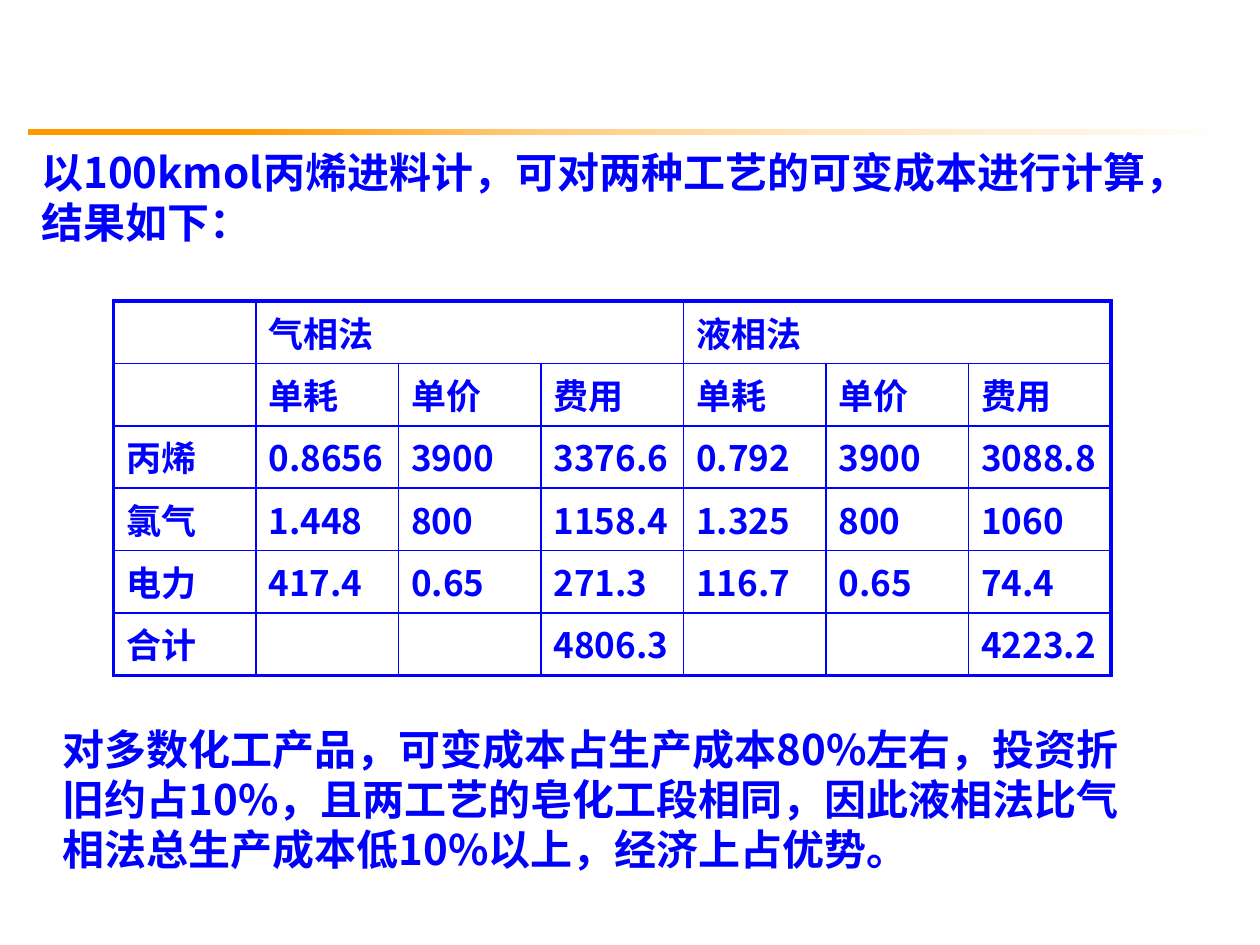
from lxml import etree
from pptx import Presentation
from pptx.dml.color import RGBColor
from pptx.enum.shapes import MSO_SHAPE
from pptx.enum.text import MSO_ANCHOR
from pptx.oxml.ns import qn
from pptx.util import Inches, Pt

RECT = MSO_SHAPE.RECTANGLE
BOTTOM = MSO_ANCHOR.BOTTOM
FONT = "Noto Sans CJK SC"
BLUE = RGBColor(0x00, 0x00, 0xFF)
FADE = [
    (17, RGBColor(0xFF, 0x99, 0x00)),
    (43, RGBColor(0xFF, 0xCC, 0x80)),
    (67, RGBColor(0xFF, 0xE6, 0xC0)),
    (87, RGBColor(0xFF, 0xF3, 0xE0)),
    (100, RGBColor(0xFF, 0xFF, 0xFF)),
]
THIN, THICK = Pt(1), Pt(2.25)

INTRO = "以100kmol丙烯进料计，可对两种工艺的可变成本进行计算，结果如下："
CLOSE = (
    "对多数化工产品，可变成本占生产成本80%左右，投资折旧约占10%，"
    "且两工艺的皂化工段相同，因此液相法比气相法总生产成本低10%以上，经济上占优势。"
)
HEADS = ["单耗", "单价", "费用"]
COSTS = [
    ["", "气相法", "", "", "液相法", "", ""],
    ["", *HEADS, *HEADS],
    ["丙烯", "0.8656", "3900", "3376.6", "0.792", "3900", "3088.8"],
    ["氯气", "1.448", "800", "1158.4", "1.325", "800", "1060"],
    ["电力", "417.4", "0.65", "271.3", "116.7", "0.65", "74.4"],
    ["合计", "", "", "4806.3", "", "", "4223.2"],
]


def put_text(frame, text, size=24, color=BLUE, bold=True):
    frame.word_wrap = True
    para = frame.paragraphs[0]
    para.line_spacing = Pt(size * 1.2)
    run = para.add_run()
    run.text = text
    font = run.font
    font.name, font.size, font.bold = FONT, Pt(size), bold
    font.color.rgb = color
    east = etree.SubElement(font._element, qn("a:ea"))
    east.set("typeface", FONT)


def add_fill(parent, color):
    etree.SubElement(parent, qn("a:srgbClr")).set("val", str(color))


def add_rule(slide, left, top, width, height):
    bar = slide.shapes.add_shape(RECT, left, top, width, height)
    bar.shadow.inherit = False
    bar.line.fill.background()
    bar.fill.gradient()
    bar.fill.gradient_angle = 0
    stops = bar._element.spPr.find(".//" + qn("a:gsLst"))
    for old in list(stops):
        stops.remove(old)
    for place, color in FADE:
        stop = etree.SubElement(stops, qn("a:gs"))
        stop.set("pos", str(place * 1000))
        add_fill(stop, color)


def add_note(slide, text, left, top, width, height):
    box = slide.shapes.add_textbox(left, top, width, height)
    put_text(box.text_frame, text)


def set_edges(cell, edges):
    props = cell._tc.get_or_add_tcPr()
    for side, width in edges.items():
        line = etree.SubElement(props, qn("a:ln" + side))
        line.set("w", str(int(width)))
        add_fill(etree.SubElement(line, qn("a:solidFill")), BLUE)


def add_costs(slide, left, top, width, height):
    rows, cols = len(COSTS), len(COSTS[0])
    table = slide.shapes.add_table(rows, cols, left, top, width, height).table
    table.first_row = table.horz_banding = False
    for r, row in enumerate(COSTS):
        for c, text in enumerate(row):
            cell = table.cell(r, c)
            set_edges(cell, {
                "L": THICK if c == 0 else THIN,
                "R": THICK if c == cols - 1 else THIN,
                "T": THICK if r == 0 else THIN,
                "B": THICK if r == rows - 1 else THIN,
            })
            cell.fill.background()
            cell.vertical_anchor = BOTTOM
            if text:
                put_text(cell.text_frame, text, size=20)
    for c in (1, 4):
        table.cell(0, c).merge(table.cell(0, c + 2))
    set_end = table.cell(0, 4)._tc.tcPr.find(qn("a:lnR"))
    set_end.set("w", str(int(THICK)))


def main():
    deck = Presentation()
    deck.slide_width, deck.slide_height = Inches(10), Inches(7.5)
    slide = deck.slides.add_slide(deck.slide_layouts[6])
    add_rule(slide, Inches(0.22), Inches(1.02), Inches(9.55), Inches(0.05))
    add_note(slide, INTRO, Inches(0.23), Inches(1.11), Inches(9), Inches(0.9))
    add_costs(slide, Inches(0.9), Inches(2.39), Inches(7.92), Inches(2.97))
    add_note(slide, CLOSE, Inches(0.4), Inches(5.69), Inches(8.75), Inches(1.3))
    deck.save("out.pptx")


if __name__ == "__main__":
    main()
